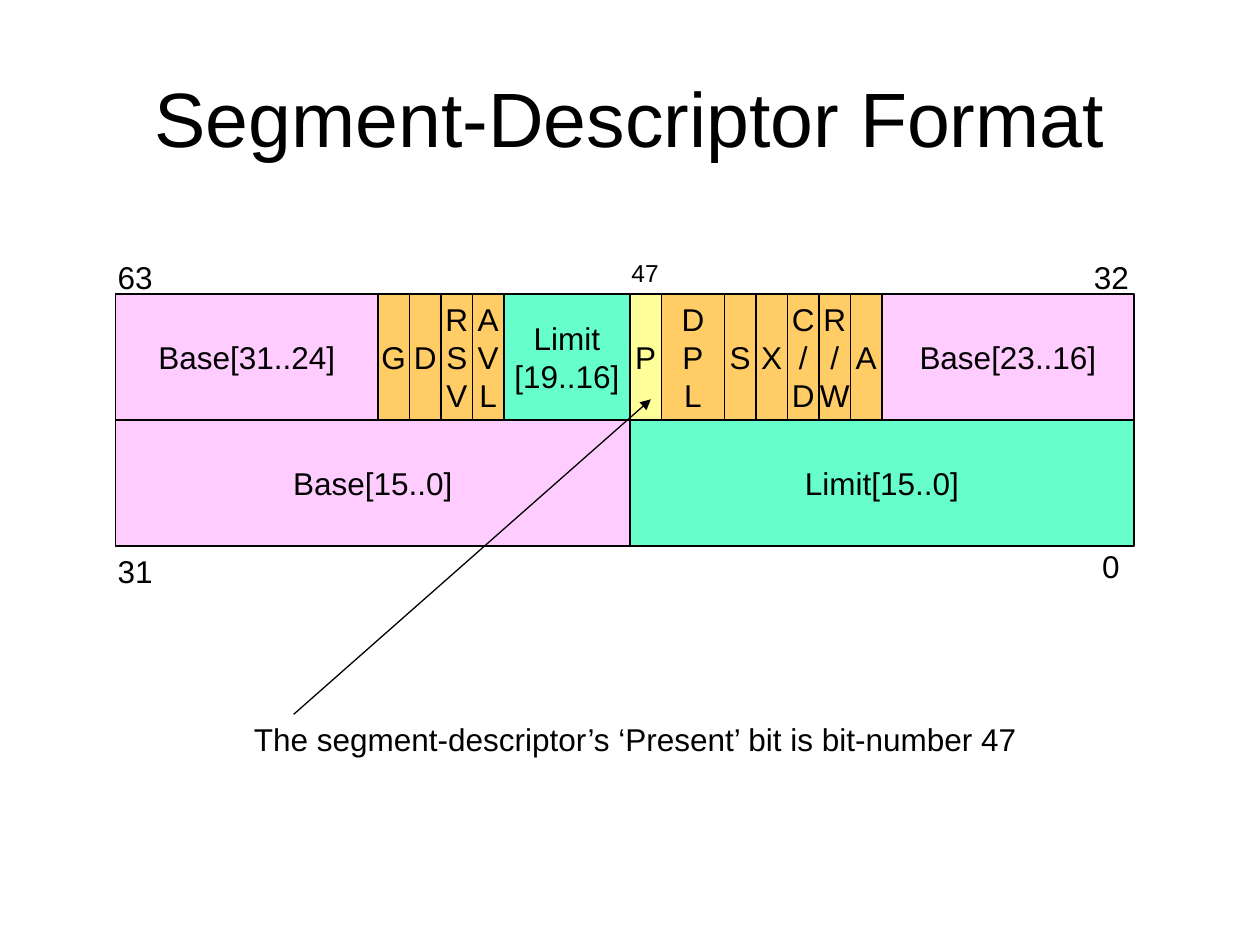
from lxml import etree
from pptx import Presentation
from pptx.dml.color import RGBColor
from pptx.enum.shapes import MSO_CONNECTOR, MSO_SHAPE
from pptx.enum.text import MSO_ANCHOR, MSO_AUTO_SIZE, PP_ALIGN
from pptx.oxml.ns import qn
from pptx.util import Cm, Pt

RECT, STRAIGHT = MSO_SHAPE.RECTANGLE, MSO_CONNECTOR.STRAIGHT
TOP, MIDDLE = MSO_ANCHOR.TOP, MSO_ANCHOR.MIDDLE
LEFT, CENTER = PP_ALIGN.LEFT, PP_ALIGN.CENTER
FIT_SHAPE = MSO_AUTO_SIZE.SHAPE_TO_FIT_TEXT

BLACK = RGBColor(0x00, 0x00, 0x00)
PINK = RGBColor(0xFF, 0xCC, 0xFF)
ORANGE = RGBColor(0xFF, 0xCC, 0x66)
GREEN = RGBColor(0x66, 0xFF, 0xCC)
YELLOW = RGBColor(0xFF, 0xFF, 0x99)

FONT = "Arial"
LINE_WIDTH = Pt(0.74)
ROW_BITS = 32
BIT = Cm(2.54) / 4

# Fields of each row from the highest bit: text, bits, fill
HIGH_ROW = [
    ("Base[31..24]", 8, PINK),
    ("G", 1, ORANGE),
    ("D", 1, ORANGE),
    ("R\nS\nV", 1, ORANGE),
    ("A\nV\nL", 1, ORANGE),
    ("Limit\n[19..16]", 4, GREEN),
    ("P", 1, YELLOW),
    ("D\nP\nL", 2, ORANGE),
    ("S", 1, ORANGE),
    ("X", 1, ORANGE),
    ("C\n/\nD", 1, ORANGE),
    ("R\n/\nW", 1, ORANGE),
    ("A", 1, ORANGE),
    ("Base[23..16]", 8, PINK),
]
LOW_ROW = [("Base[15..0]", 16, PINK), ("Limit[15..0]", 16, GREEN)]


def set_text(tf, text, size=18, align=LEFT, anchor=TOP, wrap=False):
    tf.text = text
    tf.word_wrap = wrap
    tf.vertical_anchor = anchor
    for p in tf.paragraphs:
        p.alignment = align
        p.font.name = FONT
        p.font.size = Pt(size)
        p.font.color.rgb = BLACK


def add_title(slide, text, left, top, width, height):
    tf = slide.shapes.add_textbox(left, top, width, height).text_frame
    set_text(tf, text, 44, CENTER, MIDDLE, wrap=True)


def add_label(slide, text, left, top, width, height, size=18):
    tf = slide.shapes.add_textbox(left, top, width, height).text_frame
    set_text(tf, text, size)
    tf.auto_size = FIT_SHAPE


def add_row(slide, fields, left, top, width, height):
    """Fields are aligned to the right; the first one reaches the left edge."""
    right = left + width
    bits_left = ROW_BITS
    start = left
    for text, bits, fill in fields:
        bits_left -= bits
        end = round(right - bits_left * BIT)
        sp = slide.shapes.add_shape(RECT, start, top, end - start, height)
        sp.shadow.inherit = False
        sp.fill.solid()
        sp.fill.fore_color.rgb = fill
        sp.line.color.rgb = BLACK
        sp.line.width = LINE_WIDTH
        set_text(sp.text_frame, text, align=CENTER, anchor=MIDDLE)
        start = end


def add_descriptor(slide, left, top, width, height):
    row_height = height // 2
    middle = top + row_height
    add_row(slide, HIGH_ROW, left, top, width, row_height)
    add_row(slide, LOW_ROW, left, middle, width, row_height)

    # Bit numbers around the rows
    label_top = top - Cm(0.85)
    bottom = top + height
    right = left + width
    present = round(right - ROW_BITS // 2 * BIT)
    w, h = Cm(1.22), Cm(1.02)
    add_label(slide, "63", left - Cm(0.21), label_top, w, h)
    add_label(slide, "32", right - Cm(1.06), label_top, w, h)
    add_label(slide, "31", left - Cm(0.21), bottom, w, h)
    add_label(slide, "0", right - Cm(0.89), bottom - Cm(0.1), Cm(0.88), h)
    add_label(slide, "47", present - Cm(0.22), label_top, Cm(1.12), Cm(0.86), 14)


def add_arrow(slide, x1, y1, x2, y2):
    line = slide.shapes.add_connector(STRAIGHT, x1, y1, x2, y2)
    line.line.color.rgb = BLACK
    line.line.width = LINE_WIDTH
    ln = line.line._get_or_add_ln()
    etree.SubElement(ln, qn("a:tailEnd"), type="triangle")
    etree.SubElement(line._element.spPr, qn("a:effectLst"))


def add_note(slide, text, left, top, width, height):
    add_label(slide, text, left, top, width, height)
    # Arrow from the note up to the present bit
    x, y = left + Cm(1.05), top
    add_arrow(slide, x, y, x + Cm(7.2), y - Cm(6.35))


prs = Presentation()
prs.slide_width, prs.slide_height = Cm(25.4), Cm(19.05)
slide = prs.slides.add_slide(prs.slide_layouts[6])

add_title(slide, "Segment-Descriptor Format", Cm(1.27), Cm(0.76), Cm(22.86), Cm(3.18))
add_descriptor(slide, Cm(2.33), Cm(5.93), Cm(20.53), Cm(5.08))
add_note(slide, "The segment-descriptor’s ‘Present’ bit is bit-number 47",
         Cm(4.87), Cm(14.4), Cm(15.9), Cm(1.02))

prs.save("out.pptx")
